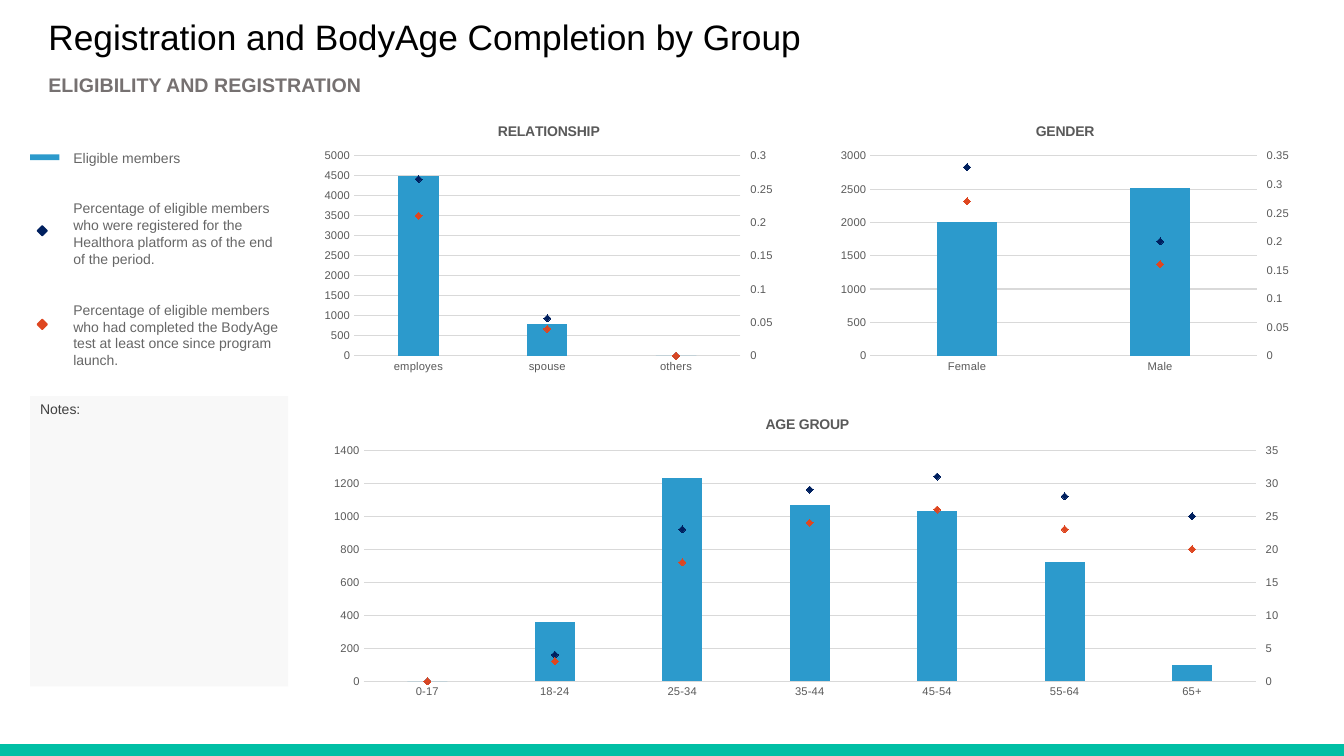
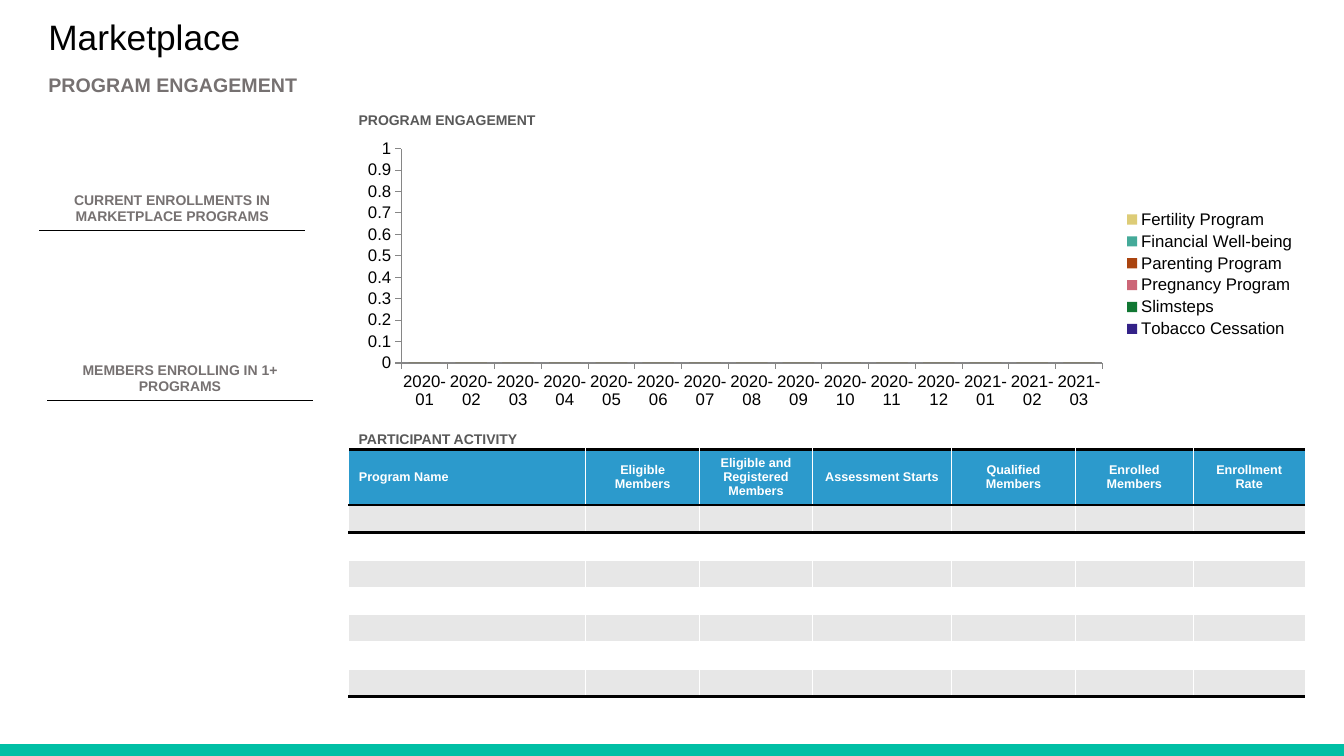
"""Build a registration report slide and a program marketplace slide."""
from lxml import etree
from pptx import Presentation
from pptx.chart.data import CategoryChartData
from pptx.dml.color import RGBColor
from pptx.enum.chart import XL_CHART_TYPE, XL_LEGEND_POSITION, XL_MARKER_STYLE, XL_TICK_MARK
from pptx.enum.shapes import MSO_SHAPE
from pptx.enum.text import MSO_ANCHOR, PP_ALIGN
from pptx.oxml import parse_xml
from pptx.oxml.ns import nsdecls, qn
from pptx.util import Cm, Pt

CLUSTERED = XL_CHART_TYPE.COLUMN_CLUSTERED
STACKED = XL_CHART_TYPE.COLUMN_STACKED
LEGEND_RIGHT = XL_LEGEND_POSITION.RIGHT
DIAMOND_MARKER = XL_MARKER_STYLE.DIAMOND
NO_TICK, OUTSIDE_TICK = XL_TICK_MARK.NONE, XL_TICK_MARK.OUTSIDE
RECTANGLE, DIAMOND = MSO_SHAPE.RECTANGLE, MSO_SHAPE.DIAMOND
TOP, MIDDLE = MSO_ANCHOR.TOP, MSO_ANCHOR.MIDDLE
LEFT, CENTER = PP_ALIGN.LEFT, PP_ALIGN.CENTER

FONT = "Arial"
BLACK, WHITE = "000000", "FFFFFF"
TEAL, BLUE, NAVY, ORANGE = "00BFA5", "2C9ACC", "00205F", "DE4620"
HEADING_GREY, LABEL_GREY, LEGEND_GREY = "767171", "595959", "666666"
NOTE_GREY, PANEL_GREY, BAND_GREY = "404040", "F2F2F2", "E7E7E7"
GRID_GREY, AXIS_GREY = "D9D9D9", "868686"
color_of = RGBColor.from_string


def write(frame, text, size, color, bold=False, align=LEFT):
    frame.word_wrap = True
    paragraph = frame.paragraphs[0]
    paragraph.alignment = align
    run = paragraph.add_run()
    run.text = text
    run.font.name = FONT
    run.font.size = Pt(size)
    run.font.bold = bold
    run.font.color.rgb = color_of(color)
    return paragraph


def add_border(cell, side, color, points):
    cell._tc.get_or_add_tcPr().append(parse_xml(
        f'<a:ln{side} {nsdecls("a")} w="{Pt(points)}"><a:solidFill>'
        f'<a:srgbClr val="{color}"/></a:solidFill></a:ln{side}>'))


presentation = Presentation()
presentation.slide_width = Cm(33.87)
presentation.slide_height = Cm(19.05)

slides = []
for title, subtitle in [
    ("Registration and BodyAge Completion by Group", "ELIGIBILITY AND REGISTRATION"),
    ("Marketplace", "PROGRAM ENGAGEMENT"),
]:
    slide = presentation.slides.add_slide(presentation.slide_layouts[6])
    band = slide.shapes.add_shape(RECTANGLE, 0, Cm(18.75), presentation.slide_width, Cm(0.3))
    band.shadow.inherit = False
    band.fill.solid()
    band.fill.fore_color.rgb = color_of(TEAL)
    band.line.fill.background()
    for text, top, width, height, size, color, bold, anchor in [
        (title, 0.46, 31.95, 1.04, 25.2, BLACK, False, MIDDLE),
        (subtitle, 1.78, 11.07, 0.71, 14, HEADING_GREY, True, TOP),
    ]:
        heading = slide.shapes.add_textbox(Cm(0.97), Cm(top), Cm(width), Cm(height))
        heading.text_frame.vertical_anchor = anchor
        write(heading.text_frame, text, size, color, bold).line_spacing = 0.9
    slides.append(slide)
registration, marketplace = slides

for text, top, height in [
    ("Eligible members", 3.61, 0.7),
    ("Percentage of eligible members who were registered for the "
     "Healthora platform as of the end of the period.", 4.89, 1.93),
    ("Percentage of eligible members who had completed the BodyAge "
     "test at least once since program launch.", 7.44, 1.93),
]:
    explanation = registration.shapes.add_textbox(Cm(1.7), Cm(top), Cm(5.56), Cm(height))
    frame = explanation.text_frame
    frame.margin_left = frame.margin_right = Cm(0.15)
    frame.margin_top = frame.margin_bottom = Cm(0.15)
    write(frame, text, 10, LEGEND_GREY)

for kind, left, top, width, height, color in [
    (RECTANGLE, 0.76, 3.89, 0.74, 0.15, BLUE),
    (DIAMOND, 0.94, 5.69, 0.25, 0.25, NAVY),
    (DIAMOND, 0.94, 8.05, 0.25, 0.25, ORANGE),
    (RECTANGLE, 0.76, 9.98, 6.5, 7.32, PANEL_GREY),
]:
    shape = registration.shapes.add_shape(kind, Cm(left), Cm(top), Cm(width), Cm(height))
    shape.shadow.inherit = False
    shape.fill.solid()
    shape.fill.fore_color.rgb = color_of(color)
    if kind == DIAMOND:
        shape.line.color.rgb = color_of(color)
        shape.line.width = Pt(1)
    else:
        shape.line.fill.background()
    if color == PANEL_GREY:
        panel_color = shape._element.spPr.find(".//" + qn("a:srgbClr"))
        etree.SubElement(panel_color, qn("a:alpha"), val="50000")
        shape.text_frame.vertical_anchor = TOP
        write(shape.text_frame, "Notes:", 10, NOTE_GREY)

small_plot = (0.083, 0.175, 0.828, 0.743)
wide_plot = (0.049, 0.162, 0.907, 0.764)
for title, box, plot_box, left_scale, right_scale, groups, members, registered, completed in [
    ("RELATIONSHIP", (7.95, 2.74, 11.76, 6.78), small_plot, (5000, 500), (0.3, 0.05),
     ["employes", "spouse", "others"],
     [4500, 800, 0], [0.265, 0.056, 0], [0.21, 0.04, 0]),
    ("GENDER", (20.96, 2.74, 11.76, 6.78), small_plot, (3000, 500), (0.35, 0.05),
     ["Female", "Male"],
     [2000, 2510], [0.33, 0.2], [0.27, 0.16]),
    ("AGE GROUP", (7.95, 10.11, 24.79, 7.62), wide_plot, (1400, 200), (35, 5),
     ["0-17", "18-24", "25-34", "35-44", "45-54", "55-64", "65+"],
     [0, 360, 1230, 1070, 1030, 720, 100],
     [0, 4, 23, 29, 31, 28, 25], [0, 3, 18, 24, 26, 23, 20]),
]:
    data = CategoryChartData()
    data.categories = groups
    for number, values in enumerate([members, registered, completed], 1):
        data.add_series(f"Series {number}", values)
    chart = registration.shapes.add_chart(CLUSTERED, *map(Cm, box), data).chart
    chart.font.name = FONT
    chart.font.size = Pt(8)
    chart.font.color.rgb = color_of(LABEL_GREY)
    chart.has_legend = False
    chart.has_title = True
    write(chart.chart_title.text_frame, title, 10, LABEL_GREY, True, CENTER)
    chart.chart_title.include_in_layout = False

    category_axis, value_axis = chart.category_axis, chart.value_axis
    category_axis.major_tick_mark = value_axis.major_tick_mark = NO_TICK
    value_axis.minimum_scale = 0
    value_axis.maximum_scale, value_axis.major_unit = left_scale
    value_axis.format.line.fill.background()
    for line in (category_axis.format.line, value_axis.major_gridlines.format.line):
        line.color.rgb = color_of(GRID_GREY)
        line.width = Pt(0.75)

    columns = chart.plots[0]
    columns.gap_width = 219
    columns.overlap = -27
    columns.vary_by_categories = False
    columns.series[0].format.fill.solid()
    columns.series[0].format.fill.fore_color.rgb = color_of(BLUE)

    plot_area = chart.element.find(".//" + qn("c:plotArea"))
    for layout in plot_area.findall(qn("c:layout")):
        plot_area.remove(layout)
    edges = "".join(f'<c:{key} val="{share}"/>' for key, share in zip("xywh", plot_box))
    plot_area.insert(0, parse_xml(
        f'<c:layout {nsdecls("c")}><c:manualLayout><c:layoutTarget val="inner"/>'
        f'<c:xMode val="edge"/><c:yMode val="edge"/>{edges}</c:manualLayout></c:layout>'))

    bar_chart = plot_area.find(qn("c:barChart"))
    line_chart = parse_xml(
        f'<c:lineChart {nsdecls("c")}><c:grouping val="standard"/><c:varyColors val="0"/>'
        '<c:marker val="1"/><c:axId val="5001"/><c:axId val="5002"/></c:lineChart>')
    for position, series in enumerate(bar_chart.findall(qn("c:ser"))[1:], 2):
        for inversion in series.findall(qn("c:invertIfNegative")):
            series.remove(inversion)
        line_chart.insert(position, series)
    bar_chart.addnext(line_chart)
    maximum, step = right_scale
    right_axis = parse_xml(
        f'<c:valAx {nsdecls("c", "a")}><c:axId val="5002"/><c:scaling>'
        f'<c:orientation val="minMax"/><c:max val="{maximum}"/><c:min val="0"/></c:scaling>'
        '<c:delete val="0"/><c:axPos val="r"/><c:numFmt formatCode="General" sourceLinked="0"/>'
        '<c:majorTickMark val="out"/><c:minorTickMark val="none"/><c:tickLblPos val="nextTo"/>'
        '<c:spPr><a:ln><a:noFill/></a:ln></c:spPr><c:crossAx val="5001"/>'
        f'<c:crosses val="max"/><c:crossBetween val="between"/><c:majorUnit val="{step}"/></c:valAx>')
    hidden_axis = parse_xml(
        f'<c:catAx {nsdecls("c")}><c:axId val="5001"/><c:scaling><c:orientation val="minMax"/>'
        '</c:scaling><c:delete val="1"/><c:axPos val="b"/><c:crossAx val="5002"/></c:catAx>')
    left_axis = plot_area.find(qn("c:valAx"))
    left_axis.addnext(right_axis)
    right_axis.addnext(hidden_axis)

    for series, color in zip(chart.plots[1].series, (NAVY, ORANGE)):
        series.smooth = False
        series.format.line.fill.background()
        series.marker.style = DIAMOND_MARKER
        series.marker.size = 5
        series.marker.format.fill.solid()
        series.marker.format.fill.fore_color.rgb = color_of(color)
        series.marker.format.line.color.rgb = color_of(color)

for text, left, top in [
    ("CURRENT ENROLLMENTS IN MARKETPLACE PROGRAMS", 0.97, 4.7),
    ("MEMBERS ENROLLING IN 1+ PROGRAMS", 1.17, 8.99),
]:
    table = marketplace.shapes.add_table(1, 1, Cm(left), Cm(top), Cm(6.73), Cm(1.04)).table
    table.first_row = table.horz_banding = False
    cell = table.cell(0, 0)
    for side, color in zip("LRTB", (WHITE, WHITE, WHITE, BLACK)):
        add_border(cell, side, color, 1)
    cell.fill.background()
    cell.vertical_anchor = MIDDLE
    write(cell.text_frame, text, 10, HEADING_GREY, True, CENTER)

for text, top in [("PROGRAM ENGAGEMENT", 2.69), ("PARTICIPANT ACTIVITY", 10.72)]:
    label = marketplace.shapes.add_textbox(Cm(8.79), Cm(top), Cm(5.03), Cm(0.69))
    write(label.text_frame, text, 10, LABEL_GREY, True)

months = [f"{year}-{month:02}" for year, last in ((2020, 12), (2021, 3))
          for month in range(1, last + 1)]
program_colors = {
    "Tobacco Cessation": "332288", "Slimsteps": "117733", "Pregnancy Program": "CC6677",
    "Parenting Program": "AA440F", "Financial Well-being": "44AA99", "Fertility Program": "DDCC77",
}
data = CategoryChartData()
data.categories = months
for program in program_colors:
    data.add_series(program, [0] * len(months))
chart = marketplace.shapes.add_chart(STACKED, Cm(8.79), Cm(3.38), Cm(24.13), Cm(7.06), data).chart
chart.font.name = FONT
chart.font.size = Pt(12)
chart.font.color.rgb = color_of(BLACK)
chart.has_title = False
chart.has_legend = True
chart.legend.position = LEGEND_RIGHT
chart.legend.include_in_layout = False
chart.value_axis.has_major_gridlines = False
chart.value_axis.minimum_scale = 0
chart.value_axis.maximum_scale = 1
chart.value_axis.major_unit = 0.1
for axis in (chart.category_axis, chart.value_axis):
    axis.major_tick_mark = OUTSIDE_TICK
    axis.format.line.color.rgb = color_of(AXIS_GREY)
columns = chart.plots[0]
columns.gap_width = 50
columns.overlap = 100
columns.vary_by_categories = False
for series, color in zip(columns.series, program_colors.values()):
    series.format.fill.solid()
    series.format.fill.fore_color.rgb = color_of(color)

activity_columns = [
    ("Program Name", 5.97), ("Eligible Members", 2.87),
    ("Eligible and Registered Members", 2.84), ("Assessment Starts", 3.51),
    ("Qualified Members", 3.12), ("Enrolled Members", 2.97), ("Enrollment Rate", 2.82),
]
row_heights = [1.37] + [0.69] * 7
last_row = len(row_heights) - 1
activity = marketplace.shapes.add_table(
    len(row_heights), len(activity_columns), Cm(8.79), Cm(11.33), Cm(24.1), Cm(6.2)).table
activity.horz_banding = False
for row, height in enumerate(row_heights):
    activity.rows[row].height = Cm(height)
    for column, (header, width) in enumerate(activity_columns):
        activity.columns[column].width = Cm(width)
        cell = activity.cell(row, column)
        add_border(cell, "L", WHITE, 0.5)
        add_border(cell, "R", WHITE, 0.5)
        if row in (0, 1):
            add_border(cell, "T", BLACK, 2)
        if row in (0, last_row):
            add_border(cell, "B", BLACK, 2)
        cell.fill.solid()
        cell.fill.fore_color.rgb = color_of(BLUE if row == 0 else BAND_GREY if row % 2 else WHITE)
        cell.vertical_anchor = MIDDLE
        if row == 0:
            write(cell.text_frame, header, 9, WHITE, True, CENTER if column else LEFT)
        else:
            etree.SubElement(cell.text_frame.paragraphs[0]._p, qn("a:endParaRPr"), sz="900")

presentation.save("out.pptx")
